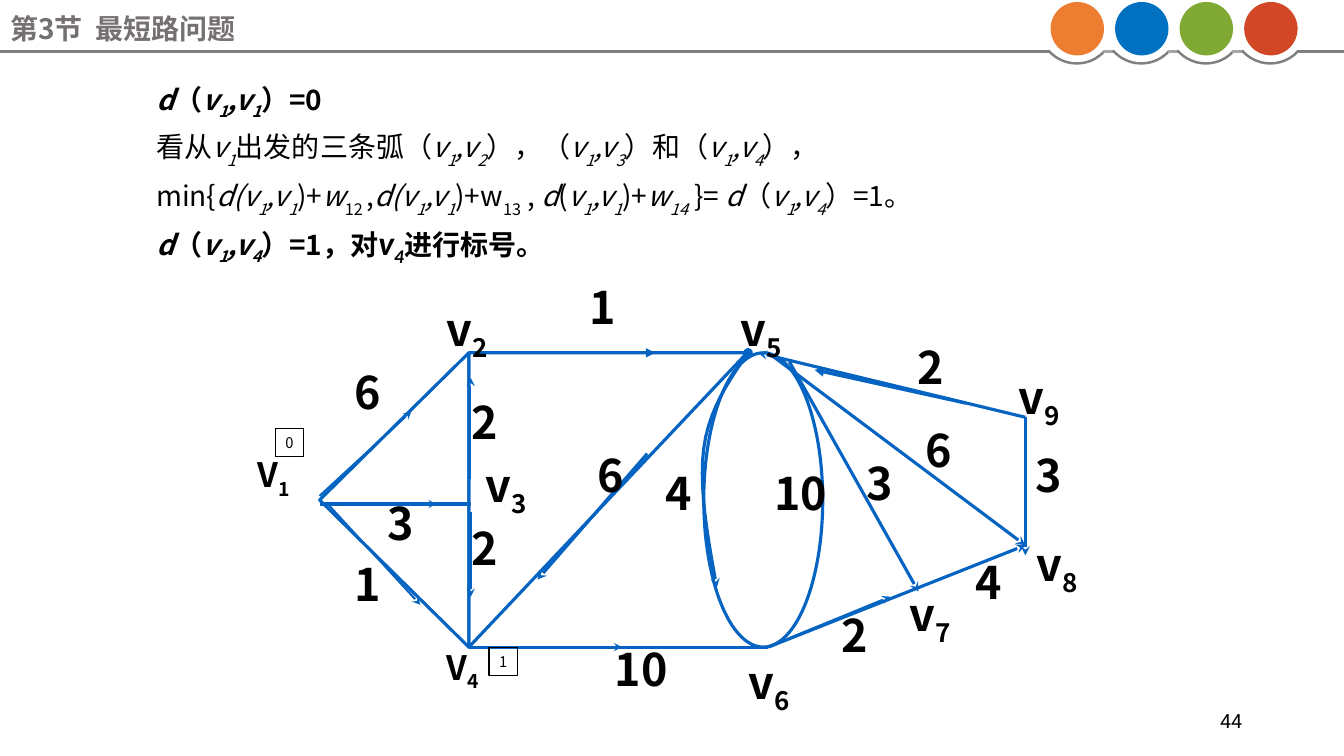
from lxml import etree
from pptx import Presentation
from pptx.dml.color import RGBColor
from pptx.enum.shapes import MSO_CONNECTOR, MSO_SHAPE
from pptx.enum.text import MSO_ANCHOR, MSO_AUTO_SIZE, PP_ALIGN
from pptx.oxml.ns import qn
from pptx.util import Inches, Pt

STRAIGHT = MSO_CONNECTOR.STRAIGHT
ARC, OVAL, RECT = MSO_SHAPE.ARC, MSO_SHAPE.OVAL, MSO_SHAPE.RECTANGLE
TRIANGLE, CORNER = MSO_SHAPE.ISOSCELES_TRIANGLE, MSO_SHAPE.RIGHT_TRIANGLE
TOP, MIDDLE = MSO_ANCHOR.TOP, MSO_ANCHOR.MIDDLE
LEFT, CENTER, RIGHT = PP_ALIGN.LEFT, PP_ALIGN.CENTER, PP_ALIGN.RIGHT
FIT, FIXED = MSO_AUTO_SIZE.SHAPE_TO_FIT_TEXT, MSO_AUTO_SIZE.NONE

FONT = "Noto Sans CJK SC"
COLORS = {
    "text": "000000", "title": "767171", "edge": "0563C1",
    "rule": "808080", "link": "A6A6A6",
    "orange": "ED7D31", "blue": "0070C0", "green": "80A933", "red": "D24726",
}

# Text, bold, subscript offset in percent
STEPS = [
    ("*d*（*v_1_,v_1_*）=0", True, -25),
    ("看从*v_1_*出发的三条弧（*v_1_,v_2_*），（*v_1_,v_3_*）和（*v_1_,v_4_*），"
     "min{*d(v_1_,v_1_*)+*w*_12 _,*d(v_1_,v_1_*)+w_13_ , "
     "*d*(*v_1_,v_1_*)+*w_14_* }= *d*（*v_1_,v_4_*）=1。", False, -30),
    ("*d*（*v_1_,v_4_*）=1，对~*v_4_*~进行标号。", True, -25),
]

# Text, left, top
NODES = [
    ("v_2", 4.33, 3), ("v_3", 4.72, 4.55), ("v_5", 7.25, 3), ("v_6", 7.33, 6.5),
    ("v_7", 8.92, 5.83), ("v_8", 10.18, 5.33), ("v_9", 10, 3.67),
]
ENDS = [("V_1", 2.46, 4.5), ("V_4", 4.33, 6.41)]
WEIGHTS = [
    ("6", 3.42, 3.67), ("3", 8.5, 4.58), ("6", 9.08, 4.25), ("2", 9, 3.42),
    ("3", 10.17, 4.5), ("4", 9.58, 5.56), ("10", 6, 6.42), ("2", 8.25, 6.08),
    ("3", 3.74, 4.97), ("1", 3.42, 5.58), ("2", 4.58, 3.97), ("6", 5.83, 4.5),
    ("2", 4.58, 5.22), ("4", 6.5, 4.67), ("10", 7.58, 4.67), ("1", 5.75, 2.83),
]

# Start x, y, end x, y, width, head, tail
EDGES = [
    (4.65, 6.42, 7.62, 6.42, 2.25, None, None),
    (7.62, 6.42, 10.17, 5.41, 2.25, None, "stealth"),
    (10.17, 4.14, 10.17, 5.51, 2.25, None, "stealth"),
    (7.52, 3.5, 10.17, 4.14, 2.25, "stealth", None),
    (7.62, 3.5, 10.17, 5.41, 2.25, None, "stealth"),
    (7.83, 3.59, 9.11, 5.87, 2.25, None, "stealth"),
    (3.17, 5, 4.67, 5, 2.25, None, None),
    (3.17, 4.92, 4.08, 4.08, 1.5, None, "stealth"),
    (3.25, 5, 4.17, 6, 1.5, None, "stealth"),
    (3.25, 5, 4.33, 5, 1.5, None, "stealth"),
    (4.67, 4.75, 4.67, 3.75, 0.75, None, "stealth"),
    (4.67, 5.08, 4.67, 5.92, 1.5, None, "stealth"),
    (6.42, 4.5, 5.33, 5.75, 2.25, None, "stealth"),
    (5.08, 6.42, 6.17, 6.42, 1.5, None, "stealth"),
    (7.83, 6.33, 8.83, 5.92, 1.5, None, "stealth"),
    (5.5, 3.5, 6.5, 3.5, 2.25, None, "triangle"),
    (9.58, 4, 8.08, 3.67, 2.25, None, "triangle"),
]
BEND = [
    [(7.42, 3.5), (7.23, 3.78), (7.03, 4.06), (6.98, 4.45)],
    [(6.98, 4.45), (6.93, 4.84), (7.02, 5.34), (7.11, 5.83)],
]


def rgb(name):
    return RGBColor.from_string(COLORS[name])


def write(para, text, size, bold=False, color="text", sub=-25, font=FONT):
    """Add runs; * toggles italic, _ subscript and ~ Calibri at 24 points."""
    state = dict.fromkeys("*_~", False)
    for mark in state:
        text = text.replace(mark, f"|{mark}|")
    for part in filter(None, text.split("|")):
        if part in state:
            state[part] = not state[part]
            continue
        run = para.add_run()
        run.text = part
        run.font.name = "Calibri" if state["~"] else font
        run.font.size = Pt(24 if state["~"] else size)
        run.font.bold, run.font.italic = bold, state["*"]
        run.font.color.rgb = rgb(color)
        props = run.font._element if hasattr(run.font, "_element") else run._r.rPr
        etree.SubElement(props, qn("a:ea")).set("typeface", FONT)
        if state["_"]:
            props.set("baseline", str(sub * 1000))


def frame(shape, anchor=TOP, wrap=True, size=FIXED):
    body = shape.text_frame
    body.word_wrap, body.auto_size = wrap, size
    body.vertical_anchor = anchor
    return body


def add_box(slide, x, y, w, h, **style):
    box = slide.shapes.add_textbox(Inches(x), Inches(y), Inches(w), Inches(h))
    return frame(box, **style)


def add_tag(slide, text, x, y, w, size):
    """Add a bold node name or edge weight."""
    para = add_box(slide, x, y, w, size * 0.0175, wrap=False, size=FIT).paragraphs[0]
    para.line_spacing = 0.8
    write(para, text, size, True)


def stroke(shape, color, width, head=None, tail=None):
    shape.line.color.rgb = rgb(color)
    shape.line.width = Pt(width)
    line = shape.element.spPr.find(qn("a:ln"))
    for end, kind in (("a:headEnd", head), ("a:tailEnd", tail)):
        if kind:
            etree.SubElement(line, qn(end)).set("type", kind)


def add_line(slide, x1, y1, x2, y2, color, width, head=None, tail=None):
    ends = [Inches(v) for v in (x1, y1, x2, y2)]
    line = slide.shapes.add_connector(STRAIGHT, *ends)
    stroke(line, color, width, head, tail)
    etree.SubElement(line.element.spPr, qn("a:effectLst"))


def add_form(slide, kind, x, y, w, h, fill=None, line=None, width=2.25):
    form = slide.shapes.add_shape(kind, Inches(x), Inches(y), Inches(w), Inches(h))
    form.shadow.inherit = False
    if fill:
        form.fill.solid()
        form.fill.fore_color.rgb = rgb(fill)
    else:
        form.fill.background()
    if line:
        stroke(form, line, width)
    else:
        form.line.fill.background()
    return form


def add_bend(slide):
    """Draw the curved arc from v5 to v6 as short steps along two cubic curves."""
    points = [BEND[0][0]]
    for curve in BEND:
        for t in (i / 10 for i in range(1, 11)):
            mix = ((1 - t) ** 3, 3 * t * (1 - t) ** 2, 3 * t * t * (1 - t), t ** 3)
            points.append(tuple(sum(m * v for m, v in zip(mix, axis))
                                for axis in zip(*curve)))
    path = [(Inches(x), Inches(y)) for x, y in points]
    pen = slide.shapes.build_freeform(*path[0])
    pen.add_line_segments(path[1:], close=False)
    bend = pen.convert_to_shape()
    bend.shadow.inherit = False
    bend.fill.background()
    stroke(bend, "edge", 2.25, "oval", "stealth")


def add_mark(slide, text, x, y):
    """Add a small framed label value beside a node."""
    mark = add_form(slide, RECT, x, y, 0.28, 0.28, line="text", width=0.75)
    para = frame(mark, MIDDLE, wrap=False).paragraphs[0]
    para.alignment = CENTER
    write(para, text, 10.5)


def add_head(slide):
    title = slide.shapes.title
    title.left, title.top = Inches(0), Inches(0.1)
    title.width, title.height = Inches(10.96), Inches(0.36)
    para = frame(title, MIDDLE).paragraphs[0]
    para.alignment = LEFT
    write(para, "第3节  最短路问题", 20, True, "title")
    add_line(slide, 10.41, 0.51, 0, 0.51, "rule", 1.77)
    add_line(slide, 12.86, 0.51, 13.33, 0.51, "rule", 1.77)
    for i, color in enumerate(("orange", "blue", "green", "red")):
        x = 10.42 + 0.64 * i
        arc = add_form(slide, ARC, x - 0.11, -0.11, 0.74, 0.74, line="rule", width=1.77)
        arc.adjustments[0], arc.adjustments[1] = 25.38, 83.6
        add_form(slide, OVAL, x, 0.02, 0.53, 0.53, fill=color)
        if i < 3:
            add_line(slide, x + 0.52, 0.51, x + 0.63, 0.51, "link", 1.77)


def add_steps(slide):
    body = add_box(slide, 1.45, 0.66, 9.17, 2.13)
    for i, (text, bold, sub) in enumerate(STEPS):
        para = body.add_paragraph() if i else body.paragraphs[0]
        para.line_spacing = Pt(35)
        write(para, text, 20, bold, sub=sub)


def add_graph(slide):
    add_form(slide, TRIANGLE, 2.45, 4.22, 2.92, 1.48, line="edge").rotation = 270
    add_form(slide, CORNER, 4.57, 3.58, 2.92, 2.76, line="edge").rotation = 90
    add_form(slide, OVAL, 6.98, 3.5, 1.18, 2.92, line="edge")
    for x1, y1, x2, y2, width, head, tail in EDGES:
        add_line(slide, x1, y1, x2, y2, "edge", width, head, tail)
    add_bend(slide)
    for text, x, y in NODES:
        add_tag(slide, text, x, y, 0.65, 32)
    for text, x, y in ENDS:
        add_tag(slide, text, x, y, 0.58, 24)
    for text, x, y in WEIGHTS:
        add_tag(slide, text, x, y, 0.2 + 0.28 * len(text), 32)
    add_mark(slide, "0", 2.73, 4.25)
    add_mark(slide, "1", 4.85, 6.42)


def main():
    deck = Presentation()
    deck.slide_width, deck.slide_height = Inches(13.33), Inches(7.5)
    slide = deck.slides.add_slide(deck.slide_layouts[5])
    add_head(slide)
    add_steps(slide)
    add_graph(slide)
    para = add_box(slide, 9.42, 6.95, 3, 0.4, anchor=MIDDLE).paragraphs[0]
    para.alignment = RIGHT
    write(para, "44", 14, font="Roboto")
    deck.save("out.pptx")


if __name__ == "__main__":
    main()
